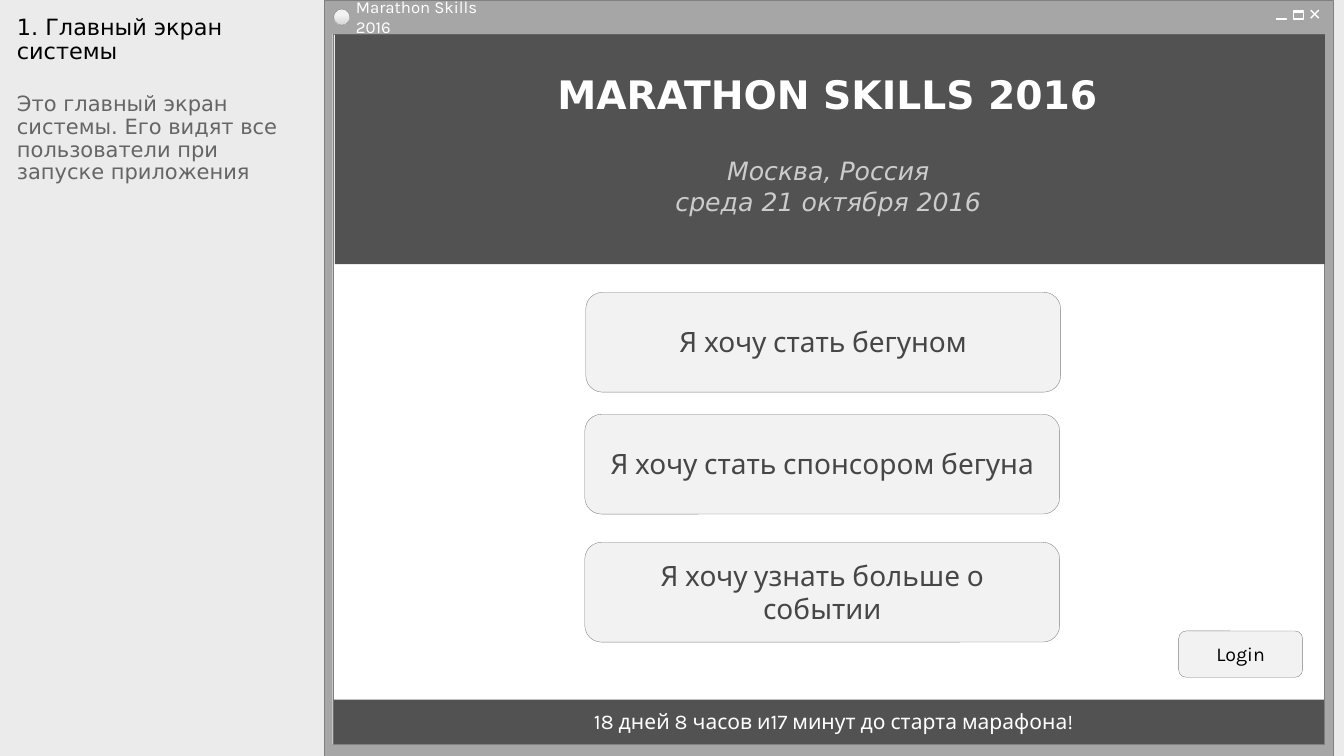
from dataclasses import dataclass

from lxml import etree
from pptx import Presentation
from pptx.dml.color import RGBColor
from pptx.enum.shapes import MSO_CONNECTOR, MSO_SHAPE
from pptx.enum.text import MSO_ANCHOR, PP_ALIGN
from pptx.oxml.ns import qn
from pptx.shapes.autoshape import Shape
from pptx.slide import Slide
from pptx.util import Inches, Pt

RECT = MSO_SHAPE.RECTANGLE
ROUNDED = MSO_SHAPE.ROUNDED_RECTANGLE
OVAL = MSO_SHAPE.OVAL
STRAIGHT = MSO_CONNECTOR.STRAIGHT
LEFT, CENTER = PP_ALIGN.LEFT, PP_ALIGN.CENTER
TOP, MIDDLE = MSO_ANCHOR.TOP, MSO_ANCHOR.MIDDLE

PAGE = RGBColor(0xEB, 0xEB, 0xEB)
WHITE = RGBColor(0xFF, 0xFF, 0xFF)
BLACK = RGBColor(0x00, 0x00, 0x00)
FRAME = RGBColor(0xA6, 0xA6, 0xA6)
EDGE = RGBColor(0x80, 0x80, 0x80)
BAND = RGBColor(0x52, 0x52, 0x52)
BUTTON = RGBColor(0xF2, 0xF2, 0xF2)
BUTTON_TEXT = RGBColor(0x46, 0x46, 0x46)
ICON_FILL = RGBColor(0x91, 0x91, 0x91)
ICON_SHADE = RGBColor(0xD9, 0xD9, 0xD9)
DATE_TEXT = RGBColor(0xCC, 0xCC, 0xCC)
NOTE_TEXT = RGBColor(0x65, 0x65, 0x65)

SANS, KARLA = "DejaVu Sans", "Karla"
LABEL_INSETS = (0.1, 0.02, 0.1, 0.03)
BUTTON_INSETS = (0.1, 0, 0.1, 0.01)
NOTE_INSETS = (0.1, 0.05, 0.1, 0.05)

Box = tuple[float, float, float, float]


@dataclass(frozen=True)
class Panel:
    box: Box
    fill: RGBColor | None
    edge: RGBColor | None = None
    weight: float = 0.25
    kind: MSO_SHAPE = RECT


@dataclass(frozen=True)
class TextStyle:
    font: str
    size: float
    color: RGBColor
    bold: bool = False
    italic: bool = False
    align: PP_ALIGN = CENTER
    anchor: MSO_ANCHOR = MIDDLE
    insets: Box = LABEL_INSETS
    spacing: float = 1.0


@dataclass(frozen=True)
class Label:
    box: Box
    lines: tuple[str, ...]
    style: TextStyle


CHOICE_STYLE = TextStyle(KARLA, 20, BUTTON_TEXT, insets=BUTTON_INSETS)
LOGIN_STYLE = TextStyle(KARLA, 14, BLACK, insets=BUTTON_INSETS)
NOTE_FORMAT = {"align": LEFT, "anchor": TOP, "insets": NOTE_INSETS, "spacing": 0.9}

WINDOW = (
    Panel((3.22, 0, 10, 7.5), FRAME, EDGE),
    Panel((3.3, 0.34, 9.83, 7.04), WHITE, EDGE),
    Panel((12.83, 0.11, 0.1, 0.01), ICON_FILL, WHITE),
    Panel((12.83, 0.11, 0.1, 0.08), None, WHITE, 1),
    Panel((12.66, 0.18, 0.1, 0.01), ICON_FILL, WHITE),
    Panel((3.32, 0.34, 9.82, 2.28), BAND),
    Panel((3.31, 6.94, 9.82, 0.44), BAND),
)
APP_ICON = Panel((3.31, 0.09, 0.16, 0.16), BUTTON, EDGE, kind=OVAL)
CLOSE_STROKES = ((13, 0.1, 13.08, 0.18), (13.08, 0.1, 13, 0.18))

BUTTONS = (
    Label((5.81, 2.9, 4.71, 0.99), ("Я хочу стать бегуном",), CHOICE_STYLE),
    Label((5.8, 4.11, 4.71, 0.99), ("Я хочу стать спонсором бегуна",), CHOICE_STYLE),
    Label((5.8, 5.38, 4.71, 0.99), ("Я хочу узнать больше о событии",), CHOICE_STYLE),
    Label((11.69, 6.26, 1.23, 0.46), ("Login",), LOGIN_STYLE),
)
LABELS = (
    Label((3.48, 0.05, 1.7, 0.25), ("Marathon Skills 2016",),
          TextStyle(KARLA, 12, WHITE, align=LEFT, insets=(0.05, 0.02, 0.1, 0.03))),
    Label((4.9, 0.68, 6.61, 0.52), ("MARATHON SKILLS 2016",),
          TextStyle(SANS, 28, WHITE, bold=True)),
    Label((5.86, 1.52, 4.71, 0.66), ("Москва, Россия", "среда 21 октября 2016"),
          TextStyle(SANS, 18, DATE_TEXT, italic=True)),
    Label((4.33, 7.01, 7.88, 0.3), ("18 дней 8 часов и17 минут до старта марафона!",),
          TextStyle(KARLA, 15, WHITE)),
    Label((0.07, 0.11, 3.01, 0.77), ("1. Главный экран системы",),
          TextStyle(SANS, 16, BLACK, **NOTE_FORMAT)),
    Label((0.07, 0.88, 3.01, 6.44),
          ("Это главный экран системы. Его видят все пользователи при запуске приложения",),
          TextStyle(SANS, 15, NOTE_TEXT, **NOTE_FORMAT)),
)


def add_panel(slide: Slide, panel: Panel) -> Shape:
    shape = slide.shapes.add_shape(panel.kind, *map(Inches, panel.box))
    shape.shadow.inherit = False
    if panel.fill is None:
        shape.fill.background()
    else:
        shape.fill.solid()
        shape.fill.fore_color.rgb = panel.fill
    if panel.edge is None:
        shape.line.fill.background()
    else:
        shape.line.color.rgb = panel.edge
        shape.line.width = Pt(panel.weight)
    return shape


def write_text(shape: Shape, label: Label) -> None:
    style = label.style
    frame = shape.text_frame
    left, top, right, bottom = map(Inches, style.insets)
    frame_format = {
        "word_wrap": True, "vertical_anchor": style.anchor,
        "margin_left": left, "margin_top": top,
        "margin_right": right, "margin_bottom": bottom,
    }
    for name, value in frame_format.items():
        setattr(frame, name, value)
    font_format = {"name": style.font, "size": Pt(style.size),
                   "bold": style.bold, "italic": style.italic}
    for index, line in enumerate(label.lines):
        paragraph = frame.add_paragraph() if index else frame.paragraphs[0]
        paragraph.alignment = style.align
        paragraph.line_spacing = style.spacing
        run = paragraph.add_run()
        run.text = line
        for name, value in font_format.items():
            setattr(run.font, name, value)
        run.font.color.rgb = style.color


def add_button(slide: Slide, button: Label) -> None:
    write_text(add_panel(slide, Panel(button.box, BUTTON, EDGE, kind=ROUNDED)), button)


def add_label(slide: Slide, label: Label) -> None:
    write_text(slide.shapes.add_textbox(*map(Inches, label.box)), label)


def add_app_icon(slide: Slide) -> None:
    """Draw the round title-bar icon, shaded from top to bottom."""
    fill = add_panel(slide, APP_ICON).fill
    fill.gradient()
    fill.gradient_angle = 270
    for stop, color, position in zip(fill.gradient_stops, (BUTTON, ICON_SHADE), (0.36, 0.91)):
        stop.color.rgb = color
        stop.position = position


def add_stroke(slide: Slide, ends: Box) -> None:
    stroke = slide.shapes.add_connector(STRAIGHT, *map(Inches, ends))
    stroke.line.color.rgb = WHITE
    stroke.line.width = Pt(1)
    etree.SubElement(stroke._element.spPr, qn("a:effectLst"))


def main() -> None:
    deck = Presentation()
    deck.slide_width, deck.slide_height = Inches(13.33), Inches(7.5)
    slide = deck.slides.add_slide(deck.slide_layouts[6])
    slide.background.fill.solid()
    slide.background.fill.fore_color.rgb = PAGE
    for panel in WINDOW:
        add_panel(slide, panel)
    add_app_icon(slide)
    for ends in CLOSE_STROKES:
        add_stroke(slide, ends)
    for button in BUTTONS:
        add_button(slide, button)
    for label in LABELS:
        add_label(slide, label)
    deck.save("out.pptx")


if __name__ == "__main__":
    main()
